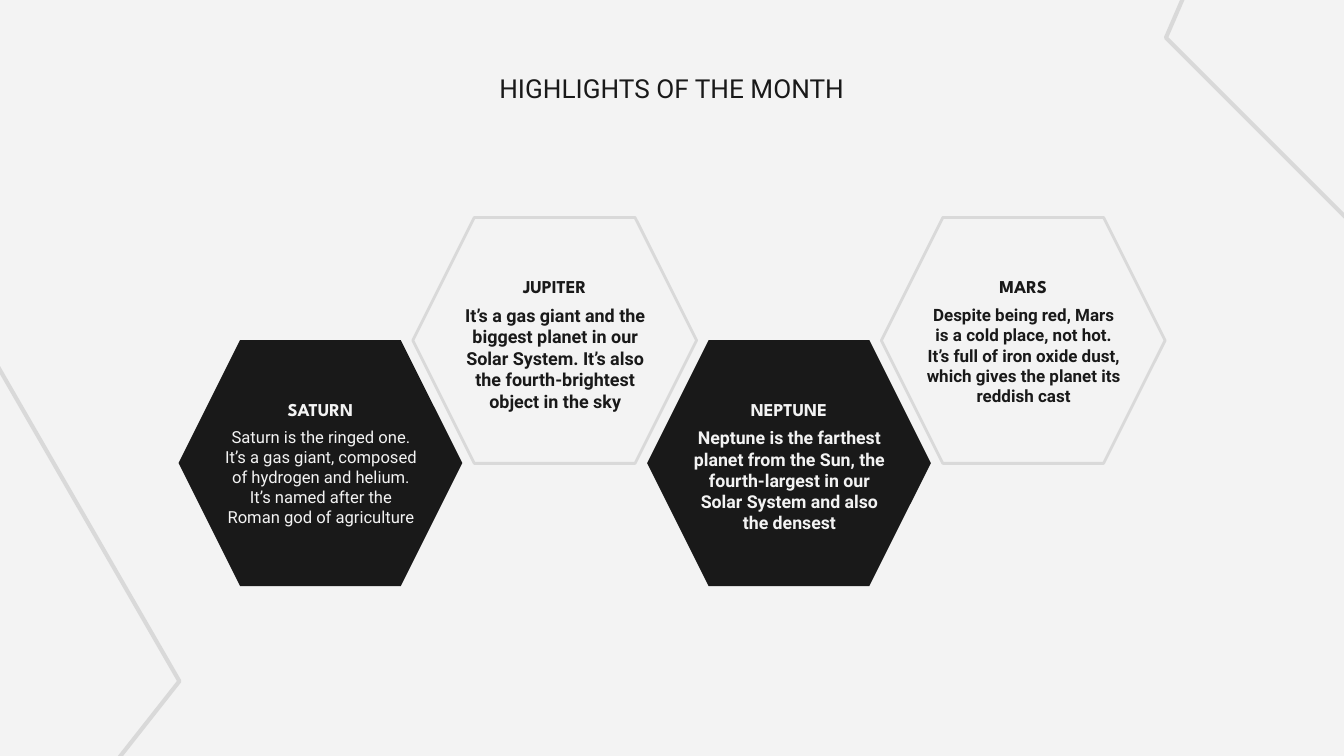
from pptx import Presentation
from pptx.dml.color import RGBColor
from pptx.enum.shapes import MSO_SHAPE
from pptx.enum.text import MSO_ANCHOR, PP_ALIGN
from pptx.util import Pt

DARK, LIGHT, GREY = "191919", "F3F3F3", "D9D9D9"
LEFT, STEP = 95.7, 125.5
HIGH, LOW = 116.5, 182.2

PLANETS = [
    ("SATURN", "Saturn is the ringed one. It’s a gas giant, composed of hydrogen "
     "and helium. It’s named after the Roman god of agriculture", 8.9, False),
    ("JUPITER", "It’s a gas giant and the biggest planet in our Solar System. "
     "It’s also the fourth-brightest object in the sky", 9.6, True),
    ("NEPTUNE", "Neptune is the farthest planet from the Sun, the fourth-largest "
     "in our Solar System and also the densest", 9.5, True),
    ("MARS", "Despite being red, Mars is a cold place, not hot. It’s full of iron "
     "oxide dust, which gives the planet its reddish cast", 9.1, True),
]


def paint(hue):
    """Turn a hex string into a colour."""
    return RGBColor.from_string(hue)


def stroke(shape, width):
    """Leave a shape unfilled, with a grey outline."""
    shape.fill.background()
    shape.line.color.rgb = paint(GREY)
    shape.line.width = Pt(width)


def add_text(slide, text, box, size, hue, font="Roboto", bold=False,
             anchor=MSO_ANCHOR.TOP):
    """Add a centred text box with even insets."""
    frame = slide.shapes.add_textbox(*map(Pt, box)).text_frame
    frame.word_wrap = True
    frame.vertical_anchor = anchor
    frame.margin_left = frame.margin_right = Pt(7.2)
    frame.margin_top = frame.margin_bottom = Pt(7.2)
    line = frame.paragraphs[0]
    line.text = text
    line.alignment = PP_ALIGN.CENTER
    line.font.name = font
    line.font.size = Pt(size)
    line.font.bold = bold
    line.font.color.rgb = paint(hue)


def add_edge(slide, points):
    """Draw a bent grey line that runs past the slide's edge."""
    start, *rest = [(Pt(x), Pt(y)) for x, y in points]
    pen = slide.shapes.build_freeform(*start)
    pen.add_line_segments(rest, close=False)
    shape = pen.convert_to_shape()
    shape.shadow.inherit = False
    stroke(shape, 2.2)


def add_hex(slide, x, y, filled):
    """Draw a solid dark hexagon or an outlined one."""
    shape = slide.shapes.add_shape(
        MSO_SHAPE.HEXAGON, Pt(x), Pt(y), Pt(152), Pt(131.8))
    shape.shadow.inherit = False
    if filled:
        shape.fill.solid()
        shape.fill.fore_color.rgb = paint(DARK)
        shape.line.fill.background()
    else:
        stroke(shape, 1.5)


def add_planet(slide, index, name, text, size, bold):
    """Add one planet's hexagon with its name and text."""
    filled = index % 2 == 0
    x, y = LEFT + index * STEP, LOW if filled else HIGH
    hue = LIGHT if filled else DARK
    add_hex(slide, x, y, filled)
    add_text(slide, name, (x + 35.3, y + 22.7, 81.4, 25.9), 9.7, hue,
             "League Spartan", True, MSO_ANCHOR.BOTTOM)
    add_text(slide, text, (x + 17, y + 39.4, 118.4, 76.3), size, hue, bold=bold)


def main():
    """Build the slide and save it."""
    deck = Presentation()
    deck.slide_width, deck.slide_height = Pt(720), Pt(405)
    slide = deck.slides.add_slide(deck.slide_layouts[6])
    back = slide.background.fill
    back.solid()
    back.fore_color.rgb = paint(LIGHT)
    add_edge(slide, [(-13.3, 175.3), (96.1, 365), (27.4, 452.2)])
    add_text(slide, "HIGHLIGHTS OF THE MONTH", (242.6, 31.7, 234.7, 54), 14, DARK)
    for index, planet in enumerate(PLANETS):
        add_planet(slide, index, *planet)
    add_edge(slide, [(779.4, 175), (624.6, 20.2), (668.5, -81.4)])
    deck.save("out.pptx")


if __name__ == "__main__":
    main()
